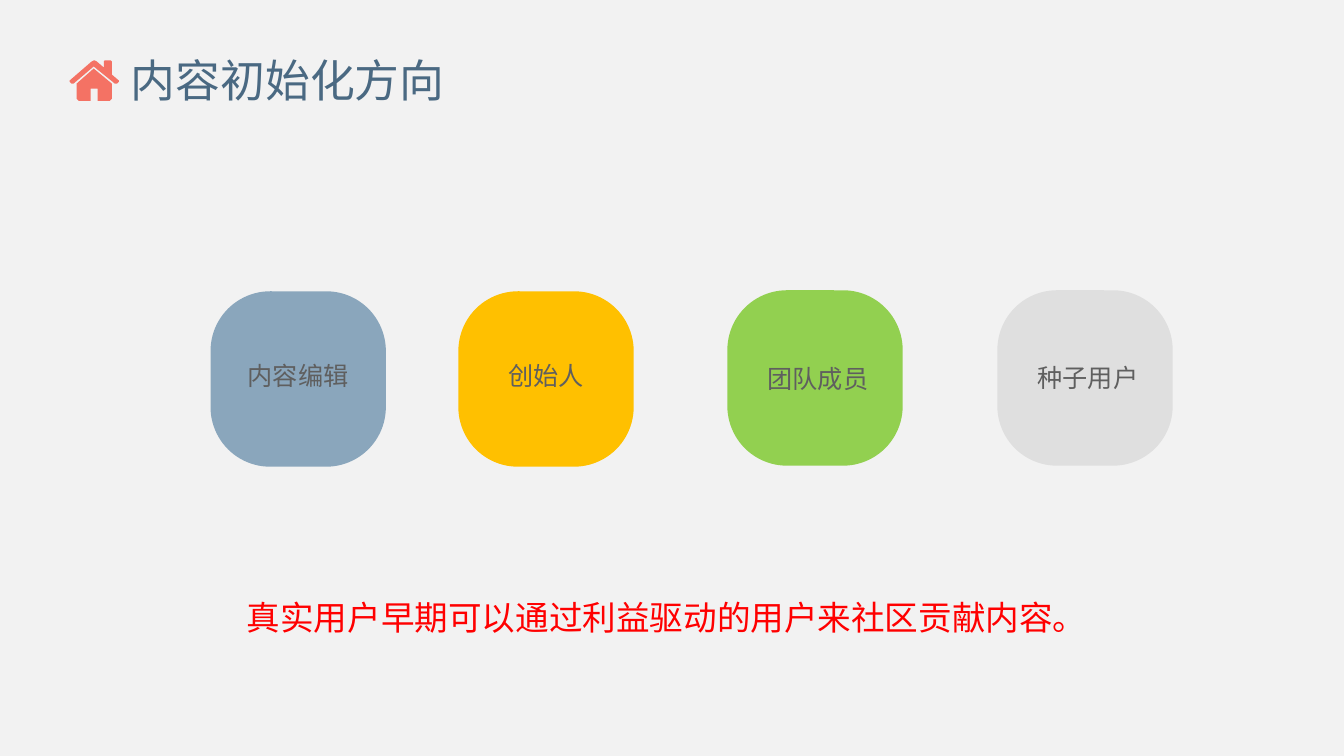
from dataclasses import dataclass

from lxml import etree
from pptx import Presentation
from pptx.dml.color import RGBColor
from pptx.enum.shapes import MSO_SHAPE
from pptx.enum.text import MSO_ANCHOR, MSO_AUTO_SIZE, PP_ALIGN
from pptx.oxml.ns import qn
from pptx.slide import Slide
from pptx.text.text import TextFrame
from pptx.util import Inches, Pt

ROUND = MSO_SHAPE.ROUNDED_RECTANGLE
MIDDLE = MSO_ANCHOR.MIDDLE
LEFT = PP_ALIGN.LEFT
GROW = MSO_AUTO_SIZE.SHAPE_TO_FIT_TEXT
FIXED = MSO_AUTO_SIZE.NONE


@dataclass(frozen=True)
class Theme:
    back: str = "F2F2F2"
    title: str = "4A6982"
    label: str = "5F5F5F"
    note: str = "FF0000"
    house: str = "F47264"
    latin: str = "Arial"
    asian: str = "Noto Sans CJK SC"
    title_size: int = 32
    label_size: int = 18
    note_size: int = 24


@dataclass(frozen=True)
class Tile:
    text: str
    fill: str
    left: float
    top: float
    label_left: float
    label_top: float


THEME = Theme()
SIDE = 1.74
TILES = [
    Tile("内容编辑", "8AA6BC", 2.09, 2.89, 2.36, 3.53),
    Tile("创始人", "FFC000", 4.55, 2.89, 4.95, 3.53),
    Tile("团队成员", "92D050", 7.22, 2.88, 7.52, 3.56),
    Tile("种子用户", "DFDFDF", 9.9, 2.88, 10.2, 3.55),
]

# House outlines, in hundredths of an inch
ROOF = [(116, 83), (114, 83), (93, 66), (73, 83), (71, 83), (69, 81),
        (69, 80), (91, 61), (93, 60), (94, 60), (96, 61), (103, 67),
        (103, 61), (104, 60), (110, 60), (111, 61), (111, 74), (118, 80),
        (118, 81)]
WALLS = [(111, 98), (109, 100), (97, 100), (97, 88), (90, 88), (90, 100),
         (78, 100), (76, 98), (76, 83), (93, 68), (111, 83)]


def write(frame: TextFrame, text: str, size: int, color: str, face: str) -> None:
    frame.text = text
    para = frame.paragraphs[0]
    para.alignment = LEFT
    font = para.runs[0].font
    font.size = Pt(size)
    font.color.rgb = RGBColor.from_string(color)
    font.name = face
    asian = etree.SubElement(para.runs[0].font._element, qn("a:ea"))
    asian.set("typeface", THEME.asian)


def add_label(slide: Slide, text: str, left: float, top: float, width: float,
              height: float, size: int, color: str, face: str) -> TextFrame:
    box = slide.shapes.add_textbox(
        Inches(left), Inches(top), Inches(width), Inches(height))
    frame = box.text_frame
    frame.word_wrap = True
    frame.auto_size = GROW
    write(frame, text, size, color, face)
    return frame


def paint(shape, color: str) -> None:
    shape.shadow.inherit = False
    shape.fill.solid()
    shape.fill.fore_color.rgb = RGBColor.from_string(color)
    shape.line.fill.background()


def add_title(slide: Slide, text: str) -> None:
    title = slide.shapes.title
    title.left, title.top = Inches(0.92), Inches(0.43)
    title.width, title.height = Inches(11.5), Inches(0.79)
    frame = title.text_frame
    frame.auto_size = FIXED
    frame.vertical_anchor = MIDDLE
    frame.margin_left = Inches(0.38)
    write(frame, text, THEME.title_size, THEME.title, THEME.latin)
    frame.paragraphs[0].line_spacing = 0.9


def add_tile(slide: Slide, tile: Tile) -> None:
    shape = slide.shapes.add_shape(
        ROUND, Inches(tile.left), Inches(tile.top), Inches(SIDE), Inches(SIDE))
    shape.adjustments[0] = 0.34
    paint(shape, tile.fill)
    add_label(slide, tile.text, tile.label_left, tile.label_top, 1.52, 0.4,
              THEME.label_size, THEME.label, THEME.latin)


def add_house(slide: Slide) -> None:
    pen = slide.shapes.build_freeform(*ROOF[0], scale=Inches(0.01))
    pen.add_line_segments(ROOF[1:])
    pen.move_to(*WALLS[0])
    pen.add_line_segments(WALLS[1:])
    paint(pen.convert_to_shape(), THEME.house)


def main() -> None:
    deck = Presentation()
    deck.slide_width, deck.slide_height = Inches(13.34), Inches(7.5)
    slide = deck.slides.add_slide(deck.slide_layouts.get_by_name("Title Only"))
    slide.background.fill.solid()
    slide.background.fill.fore_color.rgb = RGBColor.from_string(THEME.back)

    # Heading
    add_title(slide, "内容初始化方向")
    add_house(slide)

    # Sources of content
    for tile in TILES:
        add_tile(slide, tile)

    # Closing note
    note = add_label(slide, "真实用户早期可以通过利益驱动的用户来社区贡献内容。",
                     1.99, 5.87, 11.32, 0.5,
                     THEME.note_size, THEME.note, THEME.asian)
    note.margin_left = Inches(0.46)

    deck.save("out.pptx")


if __name__ == "__main__":
    main()
